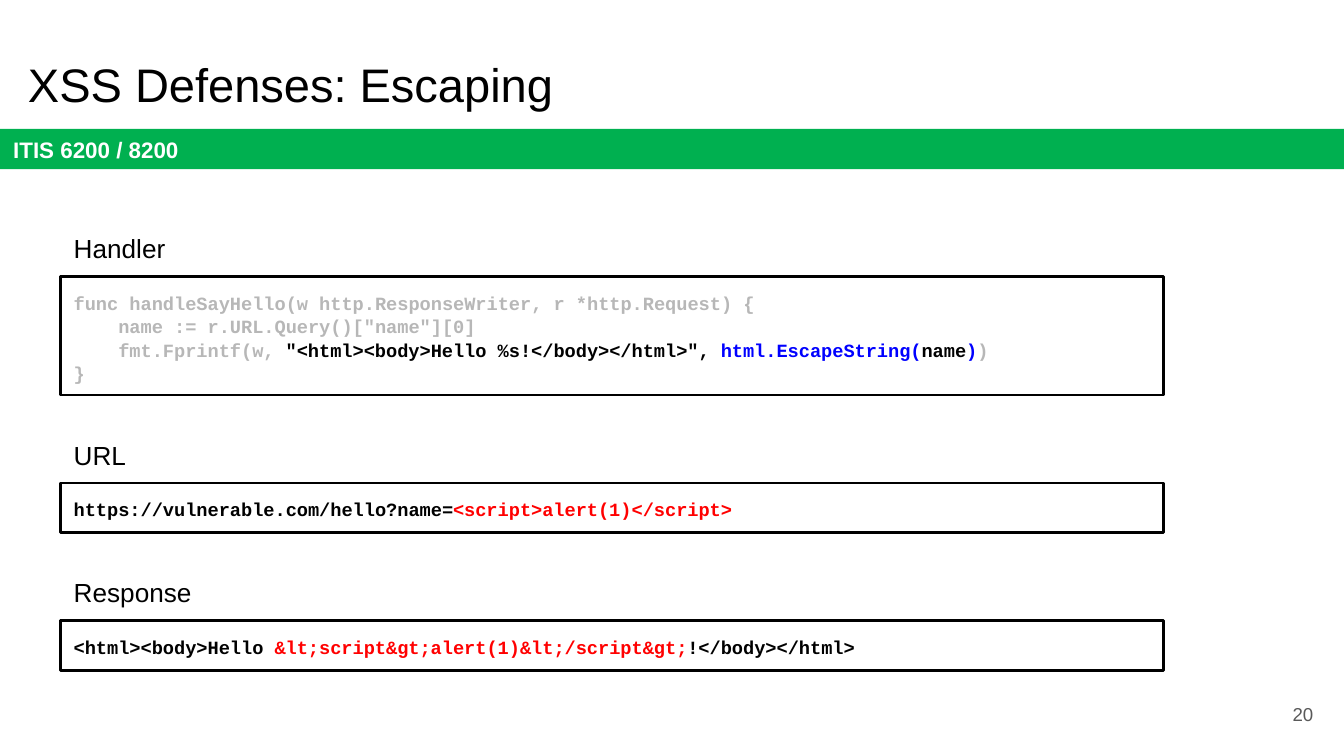
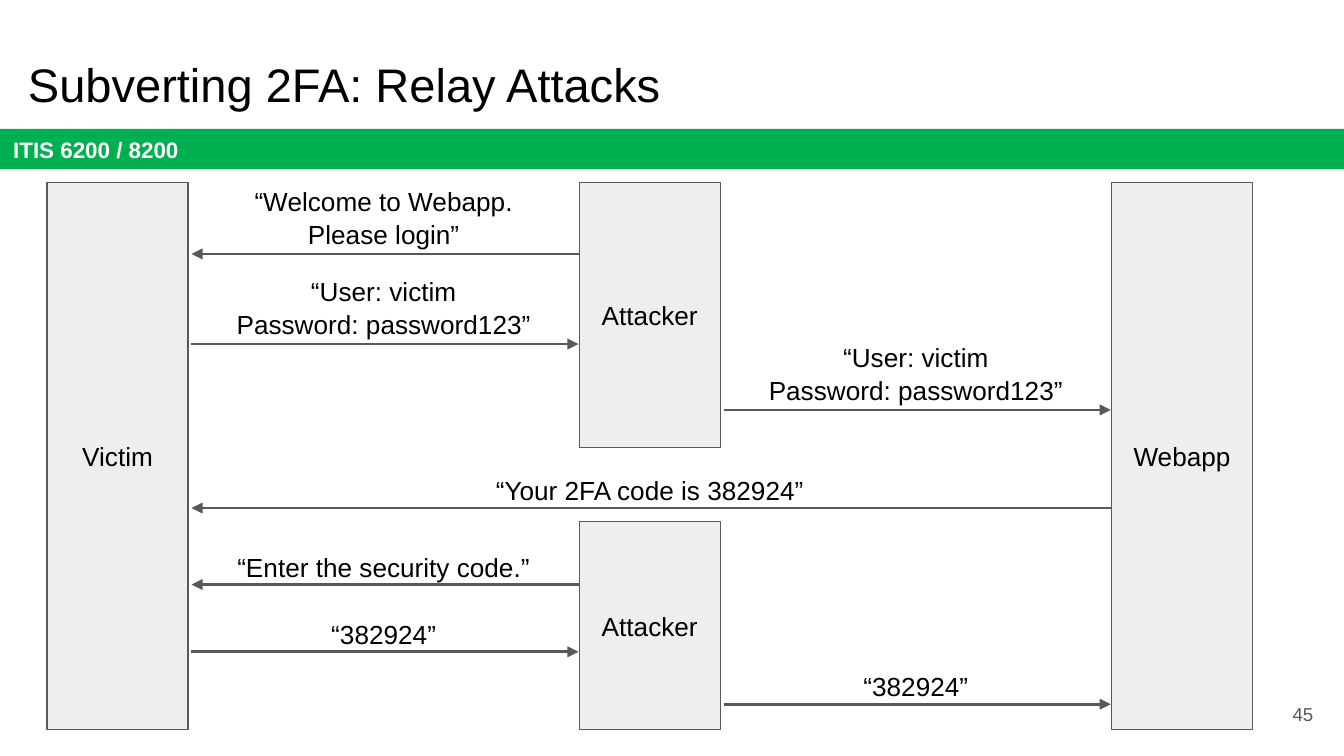
"""Build two lecture slides on web security: escaping and relay attacks."""
from dataclasses import dataclass

from lxml.etree import SubElement
from pptx import Presentation
from pptx.dml.color import RGBColor
from pptx.enum.shapes import MSO_CONNECTOR, MSO_SHAPE
from pptx.enum.text import MSO_ANCHOR as Anchor, PP_ALIGN as Align
from pptx.oxml.ns import qn
from pptx.presentation import Presentation as Deck
from pptx.shapes.autoshape import Shape
from pptx.slide import Slide
from pptx.util import Inches, Length, Pt

BLACK = RGBColor(0x00, 0x00, 0x00)
WHITE = RGBColor(0xFF, 0xFF, 0xFF)
GREEN = RGBColor(0x00, 0xB0, 0x50)
SLATE = RGBColor(0x59, 0x59, 0x59)
PALE = RGBColor(0xEE, 0xEE, 0xEE)
FADED = RGBColor(0xB7, 0xB7, 0xB7)
BLUE = RGBColor(0x00, 0x00, 0xFF)
RED = RGBColor(0xFF, 0x00, 0x00)

COLUMNS, ROWS = 100, 56.25
WIDTH, HEIGHT = Inches(10), Inches(5.625)
LINE_SPACING = 1.05

CODE_LEFT, CODE_WIDTH, CODE_TOP, CODE_GAP = 4.5, 82.1, 20.6, 6.55
LABEL_WIDTH, LABEL_HEIGHT = 12, 4.4
LANE_LEFT, LANE_PITCH, LANE_WIDTH = 3.5, 39.6, 10.5
LANE_TOP, LANE_BOTTOM = 13.6, 54.3
VICTIM, ATTACKER, SERVER = range(3)


@dataclass(frozen=True)
class Area:
    """A rectangle in grid columns and rows."""
    left: float
    top: float
    width: float
    height: float


@dataclass(frozen=True)
class Style:
    """The look of a text."""
    size: float
    color: RGBColor = BLACK
    font: str = "Arial"
    bold: bool = False
    align: Align = Align.LEFT
    anchor: Anchor = Anchor.TOP
    spacing: float = 1.0


@dataclass(frozen=True)
class Span:
    """A stretch of code in one colour."""
    text: str
    color: RGBColor = BLACK


@dataclass(frozen=True)
class Listing:
    """A labelled block of code lines."""
    label: str
    lines: list[list[Span]]


@dataclass(frozen=True)
class Lane:
    """A party and the rows it covers."""
    column: int
    name: str
    top: float = LANE_TOP
    bottom: float = LANE_BOTTOM


@dataclass(frozen=True)
class Message:
    """A message sent between lanes along one row."""
    sender: int
    receiver: int
    row: float
    text: str


TITLE = Style(25.2, anchor=Anchor.BOTTOM)
BAND = Style(12, WHITE, bold=True, anchor=Anchor.MIDDLE)
NUMBER = Style(10, SLATE, align=Align.RIGHT, anchor=Anchor.MIDDLE)
LABEL = Style(14, spacing=LINE_SPACING)
CODE = Style(10, font="Courier New", bold=True, spacing=LINE_SPACING)
PARTY = Style(14, align=Align.CENTER, anchor=Anchor.MIDDLE)
SPEECH = Style(14, align=Align.CENTER, spacing=LINE_SPACING)

LISTINGS = [
    Listing("Handler", [
        [Span("func handleSayHello(w http.ResponseWriter, r *http.Request) {", FADED)],
        [Span('    name := r.URL.Query()["name"][0]', FADED)],
        [Span("    fmt.Fprintf(w, ", FADED),
         Span('"<html><body>Hello %s!</body></html>", '),
         Span("html.EscapeString(", BLUE), Span("name"),
         Span(")", BLUE), Span(")", FADED)],
        [Span("}", FADED)],
    ]),
    Listing("URL", [
        [Span("https://vulnerable.com/hello?name="),
         Span("<script>alert(1)</script>", RED)],
    ]),
    Listing("Response", [
        [Span("<html><body>Hello "),
         Span("&lt;script&gt;alert(1)&lt;/script&gt;", RED),
         Span("!</body></html>")],
    ]),
]

LANES = [
    Lane(VICTIM, "Victim"),
    Lane(ATTACKER, "Attacker", bottom=33.3),
    Lane(ATTACKER, "Attacker", top=38.8),
    Lane(SERVER, "Webapp"),
]

LOGIN = "“User: victim\nPassword: password123”"
CODE_REPLY = "“382924”"
MESSAGES = [
    Message(ATTACKER, VICTIM, 18.9, "“Welcome to Webapp.\nPlease login”"),
    Message(VICTIM, ATTACKER, 25.6, LOGIN),
    Message(ATTACKER, SERVER, 30.5, LOGIN),
    Message(SERVER, VICTIM, 37.8, "“Your 2FA code is 382924”"),
    Message(ATTACKER, VICTIM, 43.5, "“Enter the security code.”"),
    Message(VICTIM, ATTACKER, 48.5, CODE_REPLY),
    Message(ATTACKER, SERVER, 52.4, CODE_REPLY),
]


def across(columns: float) -> Length:
    """Turn grid columns into a length."""
    return Length(round(WIDTH * columns / COLUMNS))


def down(rows: float) -> Length:
    """Turn grid rows into a length."""
    return Length(round(HEIGHT * rows / ROWS))


def place(area: Area) -> tuple[Length, Length, Length, Length]:
    """Turn an area into left, top, width and height."""
    return across(area.left), down(area.top), across(area.width), down(area.height)


def write(box: Shape, lines: list[list[Span]], style: Style) -> None:
    """Fill a box with lines of spans in one style."""
    frame = box.text_frame
    frame.word_wrap = True
    frame.vertical_anchor = style.anchor
    frame.margin_left = frame.margin_right = across(1)
    frame.margin_top = frame.margin_bottom = down(1)
    for index, spans in enumerate(lines):
        para = frame.add_paragraph() if index else frame.paragraphs[0]
        para.alignment = style.align
        para.line_spacing = style.spacing
        if len(spans) == 1:
            para.text = spans[0].text
        else:
            for span in spans:
                run = para.add_run()
                run.text = span.text
                run.font.color.rgb = span.color
        para.font.name = style.font
        para.font.size = Pt(style.size)
        para.font.bold = style.bold
        para.font.color.rgb = spans[0].color


def add_text(page: Slide, area: Area, text: str, style: Style) -> None:
    """Add a text box."""
    write(page.shapes.add_textbox(*place(area)), [[Span(text, style.color)]], style)


def add_panel(page: Slide, area: Area, fill: RGBColor,
              line: RGBColor | None = None, weight: float = 0) -> Shape:
    """Add a filled rectangle, with an outline if one is given."""
    panel = page.shapes.add_shape(MSO_SHAPE.RECTANGLE, *place(area))
    panel.shadow.inherit = False
    panel.fill.solid()
    panel.fill.fore_color.rgb = fill
    if line is None:
        panel.line.fill.background()
    else:
        panel.line.color.rgb = line
        panel.line.width = Pt(weight)
    return panel


def add_arrow(page: Slide, start: float, end: float, row: float) -> None:
    """Add a level arrow between two columns."""
    arrow = page.shapes.add_connector(
        MSO_CONNECTOR.STRAIGHT, across(start), down(row), across(end), down(row))
    arrow.line.color.rgb = SLATE
    arrow.line.width = Pt(1.5)
    SubElement(arrow.line._get_or_add_ln(), qn("a:tailEnd"), type="triangle")
    SubElement(arrow._element.spPr, qn("a:effectLst"))


def add_page(deck: Deck, title: str, number: int) -> Slide:
    """Add a slide with its band, title and number."""
    page = deck.slides.add_slide(deck.slide_layouts[6])
    band = add_panel(page, Area(0, 9.6, COLUMNS, 3), GREEN)
    write(band, [[Span("ITIS 6200 / 8200", BAND.color)]], BAND)
    add_text(page, Area(1.1, 3, 93.2, 6.3), title, TITLE)
    add_text(page, Area(92.7, 51, 6, 4.3), str(number), NUMBER)
    return page


def add_listings(page: Slide, listings: list[Listing]) -> None:
    """Stack labelled code blocks at equal gaps."""
    top = CODE_TOP
    for listing in listings:
        height = 2 + 1.7 * len(listing.lines)
        label = Area(CODE_LEFT, top - LABEL_HEIGHT, LABEL_WIDTH, LABEL_HEIGHT)
        add_text(page, label, listing.label, LABEL)
        panel = add_panel(page, Area(CODE_LEFT, top, CODE_WIDTH, height), WHITE, BLACK, 1.5)
        write(panel, listing.lines, CODE)
        top += height + CODE_GAP


def lane_left(column: int) -> float:
    """Find the left edge of a lane."""
    return LANE_LEFT + LANE_PITCH * column


def add_lane(page: Slide, lane: Lane) -> None:
    """Add the bar of one party."""
    area = Area(lane_left(lane.column), lane.top, LANE_WIDTH, lane.bottom - lane.top)
    write(add_panel(page, area, PALE, SLATE, 0.75), [[Span(lane.name)]], PARTY)


def add_message(page: Slide, message: Message) -> None:
    """Add an arrow between two lanes with its text above."""
    first, last = sorted((message.sender, message.receiver))
    left, right = lane_left(first) + LANE_WIDTH, lane_left(last)
    count = message.text.count("\n") + 1
    area = Area(left, message.row - 1 - 2.6 * count, right - left, 2.1 + 2.3 * count)
    add_text(page, area, message.text, SPEECH)
    ends = left + 0.25, right - 0.05
    start, end = ends if message.sender == first else ends[::-1]
    add_arrow(page, start, end, message.row)


def main() -> None:
    """Build and save the deck."""
    deck = Presentation()
    deck.slide_width, deck.slide_height = WIDTH, HEIGHT
    add_listings(add_page(deck, "XSS Defenses: Escaping", 20), LISTINGS)
    relay = add_page(deck, "Subverting 2FA: Relay Attacks", 45)
    for lane in LANES:
        add_lane(relay, lane)
    for message in MESSAGES:
        add_message(relay, message)
    deck.save("out.pptx")


if __name__ == "__main__":
    main()
